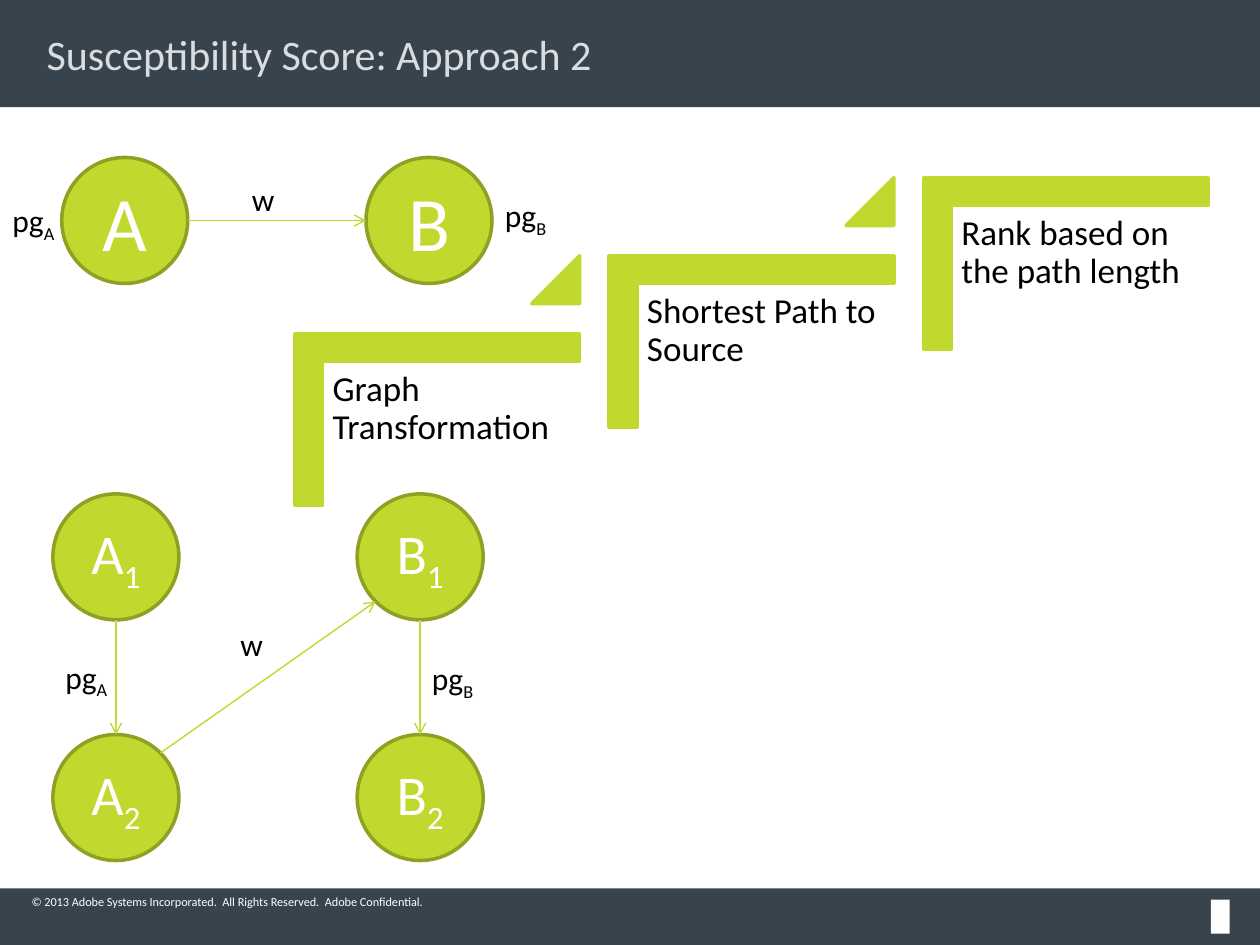
from dataclasses import dataclass
from math import sqrt

from lxml.etree import SubElement
from pptx import Presentation
from pptx.dml.color import RGBColor
from pptx.enum.shapes import MSO_CONNECTOR, MSO_SHAPE
from pptx.enum.text import MSO_ANCHOR, PP_ALIGN
from pptx.oxml.ns import qn
from pptx.util import Inches, Pt


@dataclass(frozen=True)
class Theme:
    font: str = "Calibri"
    band: str = "37434D"
    title: str = "DADDE0"
    lime: str = "C1D82F"
    olive: str = "8FA023"
    white: str = "FFFFFF"
    black: str = "000000"
    title_size: int = 24
    step_size: int = 20
    label_size: int = 18
    footer_size: int = 7
    outline: float = 2
    edge: float = 0.79


THEME = Theme()
WIDTH, HEIGHT = 10, 7.5
HEADER_HEIGHT, FOOTER_HEIGHT = 0.85, 0.45

TITLE = "Susceptibility Score: Approach 2"
COPYRIGHT = "© 2013 Adobe Systems Incorporated.  All Rights Reserved.  Adobe Confidential."
STEPS = ["Graph Transformation", "Shortest Path to Source", "Rank based on the path length"]
STEP_PITCH = (2.495, -0.62)
BRACKET = (2.79, 2.2, 1.36, 2.26)
STEP_TEXT = (2.56, 2.87, 2.04, 1.79)
RISER = (4.22, 2.03, 0.38, 0.38)

DIAMETER = 1
COLUMN_PITCH, ROW_PITCH = 2.415, 1.91
DIAGONAL = 1 / sqrt(2)
SITES = {
    "left": (-1, 0), "right": (1, 0), "top": (0, -1), "bottom": (0, 1),
    "upper right": (DIAGONAL, -DIAGONAL), "lower left": (-DIAGONAL, DIAGONAL),
}
LABEL_HEIGHT = 0.4
LABEL_WIDTHS = {"w": 0.42, "pg": 0.67}

GRAPHS = [
    {
        "origin": (0.49, 1.25),
        "size": 44,
        "nodes": {("A", ""): (0, 0), ("B", ""): (1, 0)},
        "edges": [(("A", ""), "right", ("B", ""), "left")],
        "labels": [("w", "", 1.9, 1.38), ("pg", "A", 0, 1.55), ("pg", "B", 3.91, 1.51)],
    },
    {
        "origin": (0.42, 3.92),
        "size": 32,
        "nodes": {("A", "1"): (0, 0), ("B", "1"): (1, 0), ("A", "2"): (0, 1), ("B", "2"): (1, 1)},
        "edges": [
            (("A", "2"), "upper right", ("B", "1"), "lower left"),
            (("A", "1"), "bottom", ("A", "2"), "top"),
            (("B", "1"), "bottom", ("B", "2"), "top"),
        ],
        "labels": [("w", "", 1.81, 4.91), ("pg", "B", 3.33, 5.18), ("pg", "A", 0.42, 5.17)],
    },
]


def rgb(color):
    return RGBColor.from_string(color)


def write(shape, text, size, color, subscript="", anchor=MSO_ANCHOR.TOP, inset=None):
    frame = shape.text_frame
    frame.word_wrap = True
    frame.vertical_anchor = anchor
    if inset is not None:
        frame.margin_left = frame.margin_right = Inches(inset[0])
        frame.margin_top = frame.margin_bottom = Inches(inset[1])
    paragraph = frame.paragraphs[0]
    for part, baseline in ((text, 0), (subscript, -25000)):
        if part:
            run = paragraph.add_run()
            run.text = part
            run.font.name, run.font.size = THEME.font, Pt(size)
            run.font.color.rgb = rgb(color)
            if baseline:
                run._r.get_or_add_rPr().set("baseline", str(baseline))
    return paragraph


def add_solid(shapes, preset, box, fill, outline=None):
    shape = shapes.add_shape(preset, *map(Inches, box))
    shape.shadow.inherit = False
    shape.fill.solid()
    shape.fill.fore_color.rgb = rgb(fill)
    if outline:
        shape.line.color.rgb = rgb(outline)
        shape.line.width = Pt(THEME.outline)
    else:
        shape.line.fill.background()
    return shape


def add_text(shapes, box, *content, **options):
    return write(shapes.add_textbox(*map(Inches, box)), *content, **options)


def add_edge(shapes, start, end):
    edge = shapes.add_connector(MSO_CONNECTOR.STRAIGHT, *map(Inches, (*start, *end)))
    edge.line.color.rgb = rgb(THEME.lime)
    edge.line.width = Pt(THEME.edge)
    properties = edge.element.spPr
    SubElement(properties.find(qn("a:ln")), qn("a:tailEnd"), type="arrow")
    SubElement(properties, qn("a:effectLst"))


def add_frame(slide):
    shapes, title = slide.shapes, slide.shapes.title
    footer_top = HEIGHT - FOOTER_HEIGHT
    for top, height in ((0, HEADER_HEIGHT), (footer_top, FOOTER_HEIGHT)):
        band = add_solid(shapes, MSO_SHAPE.RECTANGLE, (0, top, WIDTH, height), THEME.band)
        title.element.addprevious(band.element)
    title.left, title.top, title.width, title.height = map(Inches, (0.25, 0.2, 9.5, 0.45))
    write(title, TITLE, THEME.title_size, THEME.title,
          anchor=MSO_ANCHOR.MIDDLE, inset=(0.12, 0.06)).alignment = PP_ALIGN.LEFT
    add_text(shapes, (0.25, footer_top + 0.04, 4.25, 0.12), COPYRIGHT, THEME.footer_size,
             THEME.white, anchor=MSO_ANCHOR.BOTTOM, inset=(0, 0))
    add_solid(shapes, MSO_SHAPE.RECTANGLE, (9.61, footer_top + 0.09, 0.15, 0.27), THEME.white)


def add_steps(shapes):
    for index, step in enumerate(STEPS):
        def place(box):
            return (box[0] + index * STEP_PITCH[0], box[1] + index * STEP_PITCH[1], *box[2:])

        bracket = add_solid(shapes, MSO_SHAPE.CORNER, place(BRACKET), THEME.lime, THEME.lime)
        bracket.rotation = 90
        bracket.adjustments[0] = bracket.adjustments[1] = 0.161
        add_text(shapes, place(STEP_TEXT), step, THEME.step_size, THEME.black,
                 inset=(0.08, 0.08)).line_spacing = 0.9
        if index < len(STEPS) - 1:
            riser = add_solid(shapes, MSO_SHAPE.ISOSCELES_TRIANGLE, place(RISER),
                              THEME.lime, THEME.lime)
            riser.adjustments[0] = 1


def add_graph(shapes, graph):
    radius = DIAMETER / 2
    centers = {}
    for (letter, number), (column, row) in graph["nodes"].items():
        left = graph["origin"][0] + column * COLUMN_PITCH
        top = graph["origin"][1] + row * ROW_PITCH
        centers[letter, number] = (left + radius, top + radius)
        node = add_solid(shapes, MSO_SHAPE.OVAL, (left, top, DIAMETER, DIAMETER),
                         THEME.lime, THEME.olive)
        write(node, letter, graph["size"], THEME.white, subscript=number,
              anchor=MSO_ANCHOR.MIDDLE).alignment = PP_ALIGN.CENTER

    def rim(node, site):
        return [center + radius * shift for center, shift in zip(centers[node], SITES[site])]

    for source, exit_site, target, entry_site in graph["edges"]:
        add_edge(shapes, rim(source, exit_site), rim(target, entry_site))
    for label, subscript, left, top in graph["labels"]:
        add_text(shapes, (left, top, LABEL_WIDTHS[label], LABEL_HEIGHT), label,
                 THEME.label_size, THEME.black, subscript=subscript)


def main():
    deck = Presentation()
    deck.slide_width, deck.slide_height = Inches(WIDTH), Inches(HEIGHT)
    slide = deck.slides.add_slide(deck.slide_layouts[5])
    add_frame(slide)
    add_steps(slide.shapes)
    for graph in GRAPHS:
        add_graph(slide.shapes, graph)
    deck.save("out.pptx")


if __name__ == "__main__":
    main()
